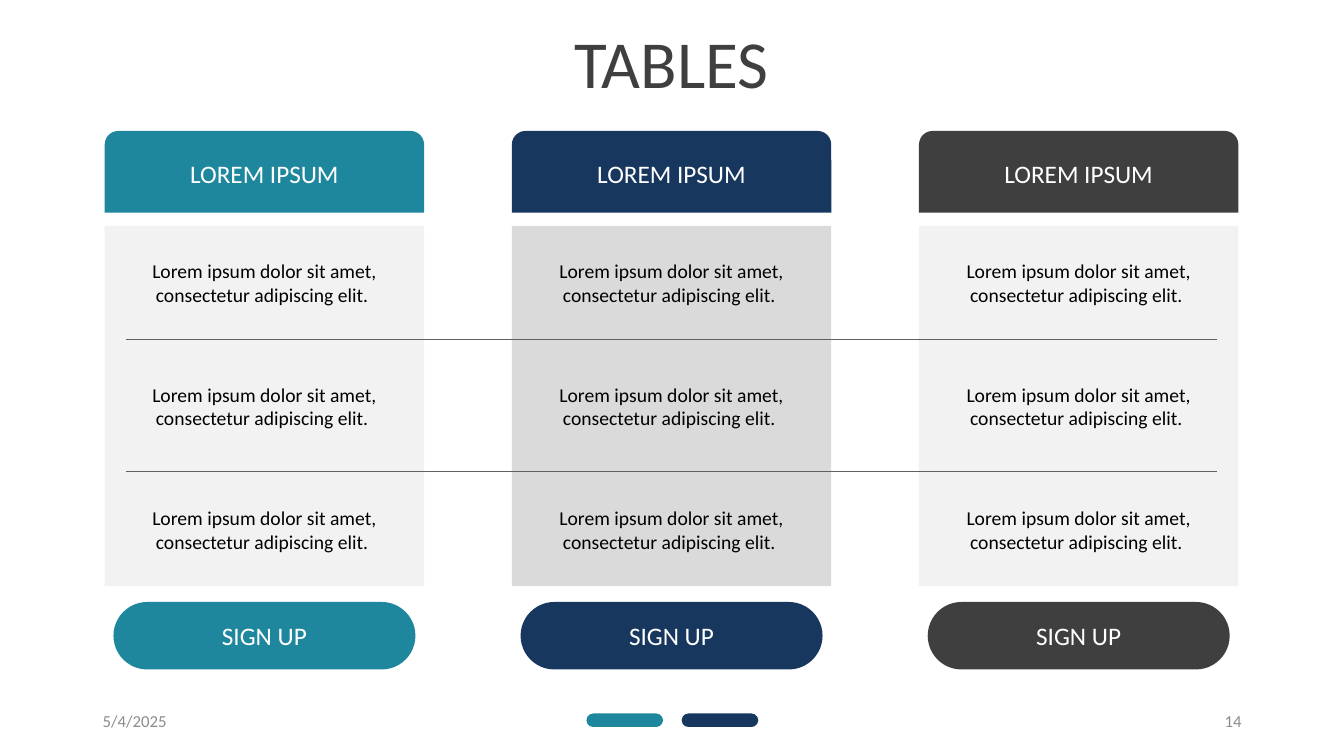
from pptx import Presentation
from pptx.dml.color import RGBColor
from pptx.enum.shapes import MSO_CONNECTOR, MSO_SHAPE
from pptx.enum.text import MSO_ANCHOR, MSO_AUTO_SIZE, PP_ALIGN
from pptx.oxml.ns import qn
from pptx.util import Cm, Pt
from lxml import etree

TEAL = RGBColor(0x1F, 0x87, 0x9D)
NAVY = RGBColor(0x17, 0x37, 0x5E)
DARK = RGBColor(0x3F, 0x3F, 0x3F)
PALE = RGBColor(0xF2, 0xF2, 0xF2)
GREY = RGBColor(0xDA, 0xDA, 0xDA)
RULE = RGBColor(0x60, 0x60, 0x60)
MUTED = RGBColor(0x8C, 0x8C, 0x8C)
WHITE = RGBColor(0xFF, 0xFF, 0xFF)
BLACK = RGBColor(0, 0, 0)
RECT = MSO_SHAPE.RECTANGLE
ROUND = MSO_SHAPE.ROUNDED_RECTANGLE
TAB = MSO_SHAPE.ROUND_2_SAME_RECTANGLE
LINE = MSO_CONNECTOR.STRAIGHT
LEFT, MID, RIGHT = PP_ALIGN.LEFT, PP_ALIGN.CENTER, PP_ALIGN.RIGHT
TOP, CENTER = MSO_ANCHOR.TOP, MSO_ANCHOR.MIDDLE
FIXED = MSO_AUTO_SIZE.NONE

FONT = "Calibri"
LOREM = "Lorem ipsum dolor sit amet, consectetur adipiscing elit. "
PLANS = [(TEAL, PALE), (NAVY, GREY), (DARK, PALE)]
ROWS = 3


def write(shape, text, size, color, align=MID, anchor=CENTER):
    frame = shape.text_frame
    frame.word_wrap = True
    frame.auto_size = FIXED
    frame.vertical_anchor = anchor
    para = frame.paragraphs[0]
    para.alignment = align
    run = para.add_run()
    run.text = text
    run.font.name = FONT
    run.font.size = Pt(size)
    run.font.color.rgb = color


def block(slide, kind, x, y, w, h, fill):
    shape = slide.shapes.add_shape(kind, Cm(x), Cm(y), Cm(w), Cm(h))
    shape.shadow.inherit = False
    shape.fill.solid()
    shape.fill.fore_color.rgb = fill
    shape.line.fill.background()
    if kind == ROUND:
        shape.adjustments[0] = 0.5
    return shape


def label(slide, x, y, w, h, *style):
    write(slide.shapes.add_textbox(Cm(x), Cm(y), Cm(w), Cm(h)), *style)


def heading(slide, x, y, w, h):
    title = slide.shapes.title
    title.left, title.top, title.width, title.height = Cm(x), Cm(y), Cm(w), Cm(h)
    frame = title.text_frame
    frame.margin_left = frame.margin_right = 0
    frame.margin_top = frame.margin_bottom = 0
    write(title, "TABLES", 48, DARK, MID, TOP)


def panels(slide, x, y, w, h, pitch):
    # Header and panel of each plan
    for i, (color, back) in enumerate(PLANS):
        left = x + i * pitch
        head = block(slide, TAB, left, y, w, 2.06, color)
        write(head, "LOREM IPSUM", 18, WHITE)
        block(slide, RECT, left, y + 2.39, w, h - 4.49, back)
    # Rules across all plans
    for j in range(1, ROWS):
        level = Cm(y + 1.94 + j * 3.32)
        rule = slide.shapes.add_connector(
            LINE, Cm(x + 0.54), level, Cm(x + 2 * pitch + w - 0.54), level)
        rule.line.color.rgb = RULE
        rule.line.width = Pt(0.5)
        etree.SubElement(rule.element.spPr, qn("a:effectLst"))
    # Button and row texts of each plan
    for i, (color, _) in enumerate(PLANS):
        left = x + i * pitch
        button = block(slide, ROUND, left + 0.22, y + h - 1.7, w - 0.44, 1.7, color)
        write(button, "SIGN UP", 18, WHITE)
        for j in range(ROWS):
            label(slide, left + 0.65, y + 3.1 + j * 3.11, w - 1.3, 1.45,
                  LOREM, 14, BLACK)


def footer(slide, x, y, w, h):
    for i, color in enumerate((TEAL, NAVY)):
        block(slide, ROUND, x + 12.44 + i * 2.4, y + 0.33, 1.93, 0.34, color)
    label(slide, x, y, 7.62, h, "5/4/2025", 12, MUTED, LEFT)
    label(slide, x + w - 7.62, y, 7.62, h, "14", 12, MUTED, RIGHT)


def main():
    deck = Presentation()
    deck.slide_width, deck.slide_height = Cm(33.87), Cm(19.05)
    slide = deck.slides.add_slide(deck.slide_layouts[5])
    heading(slide, 1.19, 0.53, 31.47, 2.06)
    panels(slide, 2.64, 3.3, 8.05, 13.57, 10.26)
    footer(slide, 2.34, 17.65, 29.2, 1.02)
    deck.save("out.pptx")


if __name__ == "__main__":
    main()
